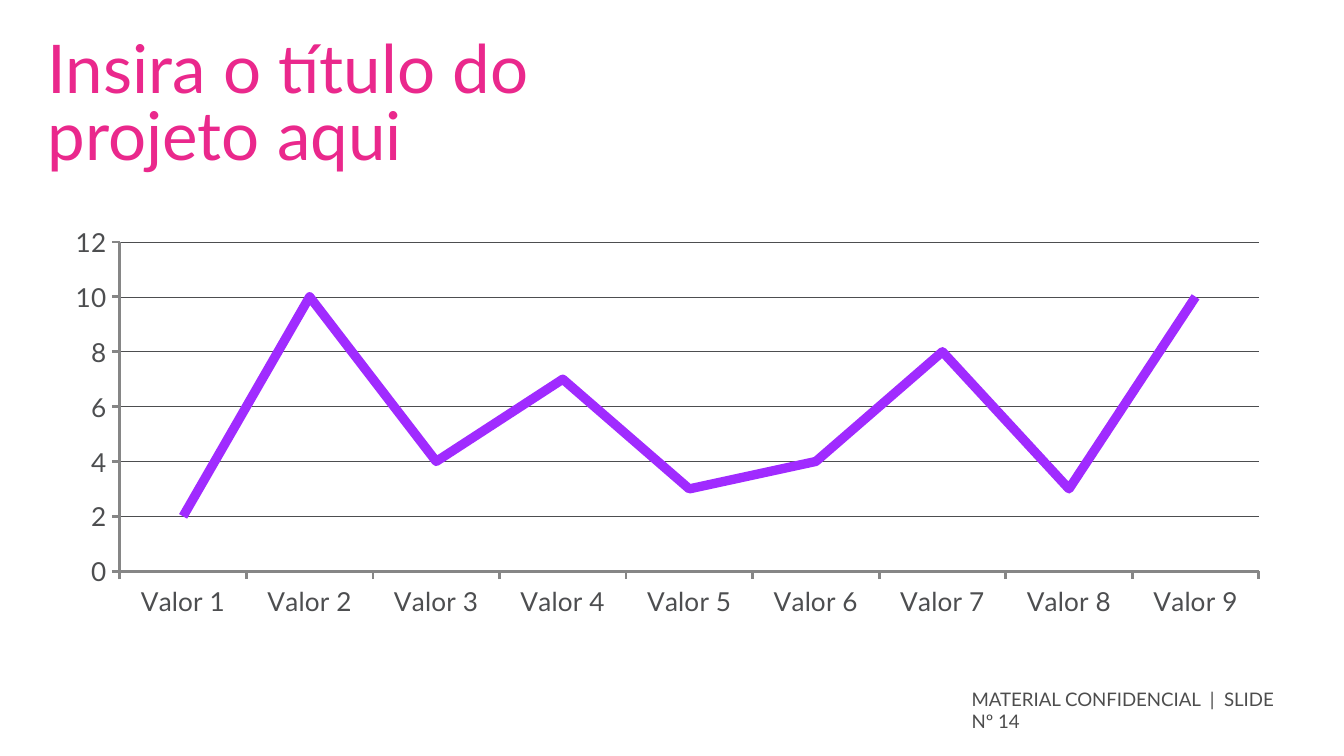
from dataclasses import dataclass

from pptx import Presentation
from pptx.chart.data import CategoryChartData
from pptx.dml.color import RGBColor
from pptx.enum.chart import XL_CHART_TYPE as ChartType
from pptx.enum.chart import XL_MARKER_STYLE as Marker
from pptx.enum.chart import XL_TICK_MARK as Tick
from pptx.enum.text import MSO_ANCHOR as Anchor
from pptx.util import Emu, Pt

EMU_PER_PX = 4572  # 200 px to the inch


def px(n):
    return Emu(n * EMU_PER_PX)


@dataclass(frozen=True)
class Theme:
    font: str = "Lato"
    pink: str = "EA288C"
    purple: str = "A02BFF"
    label: str = "4D4E50"
    footer: str = "4D4D4D"
    axis: str = "868686"
    title_size: int = 36
    label_size: int = 14
    footer_size: int = 10


class Deck:
    def __init__(self, theme, width, height):
        self.theme = theme
        self.prs = Presentation()
        self.prs.slide_width, self.prs.slide_height = px(width), px(height)
        self.slide = None

    def add_slide(self):
        self.slide = self.prs.slides.add_slide(self.prs.slide_layouts[6])

    def style_font(self, font, size, color):
        font.name = self.theme.font
        font.size = Pt(size)
        font.color.rgb = RGBColor.from_string(color)

    def style_line(self, line, width, color):
        line.width = Pt(width)
        line.color.rgb = RGBColor.from_string(color)

    def text(self, box, text, size, color, spacing=None):
        tf = self.slide.shapes.add_textbox(*map(px, box)).text_frame
        tf.word_wrap = True
        tf.vertical_anchor = Anchor.TOP
        tf.margin_left = tf.margin_top = tf.margin_right = tf.margin_bottom = 0
        tf.text = text
        p = tf.paragraphs[0]
        if spacing:
            p.line_spacing = Pt(spacing)
        self.style_font(p.runs[0].font, size, color)

    def line_chart(self, box, categories, name, values):
        t = self.theme
        data = CategoryChartData()
        data.categories = categories
        data.add_series(name, values)
        chart = self.slide.shapes.add_chart(
            ChartType.LINE, *map(px, box), data).chart
        chart.has_legend = chart.has_title = False
        self.style_font(chart.font, t.label_size, t.label)

        # Axes and gridlines
        for axis in (chart.category_axis, chart.value_axis):
            axis.major_tick_mark = Tick.OUTSIDE
            axis.minor_tick_mark = Tick.NONE
            self.style_font(axis.tick_labels.font, t.label_size, t.label)
            self.style_line(axis.format.line, 1.5, t.axis)
        axis = chart.value_axis
        axis.minimum_scale, axis.maximum_scale, axis.major_unit = 0, 12, 2
        axis.has_major_gridlines = True
        self.style_line(axis.major_gridlines.format.line, 0.25, t.label)

        # Series
        plot = chart.plots[0]
        plot.vary_by_categories = False
        series = plot.series[0]
        series.smooth = False
        series.marker.style = Marker.NONE
        self.style_line(series.format.line, 5, t.purple)


def main():
    theme = Theme()
    deck = Deck(theme, 2000, 1125)
    deck.add_slide()

    # Chart
    deck.line_chart((76, 324, 1834, 606), [f"Valor {i}" for i in range(1, 10)],
                    "Series 1", (2, 10, 4, 7, 3, 4, 8, 3, 10))

    # Title
    deck.text((71, 59, 832, 206), "Insira o título do projeto aqui",
              theme.title_size, theme.pink, spacing=36)

    # Footer
    deck.text((1446, 1023, 466, 60), "MATERIAL CONFIDENCIAL  |  SLIDE Nº 14",
              theme.footer_size, theme.footer)

    deck.prs.save("out.pptx")


if __name__ == "__main__":
    main()
